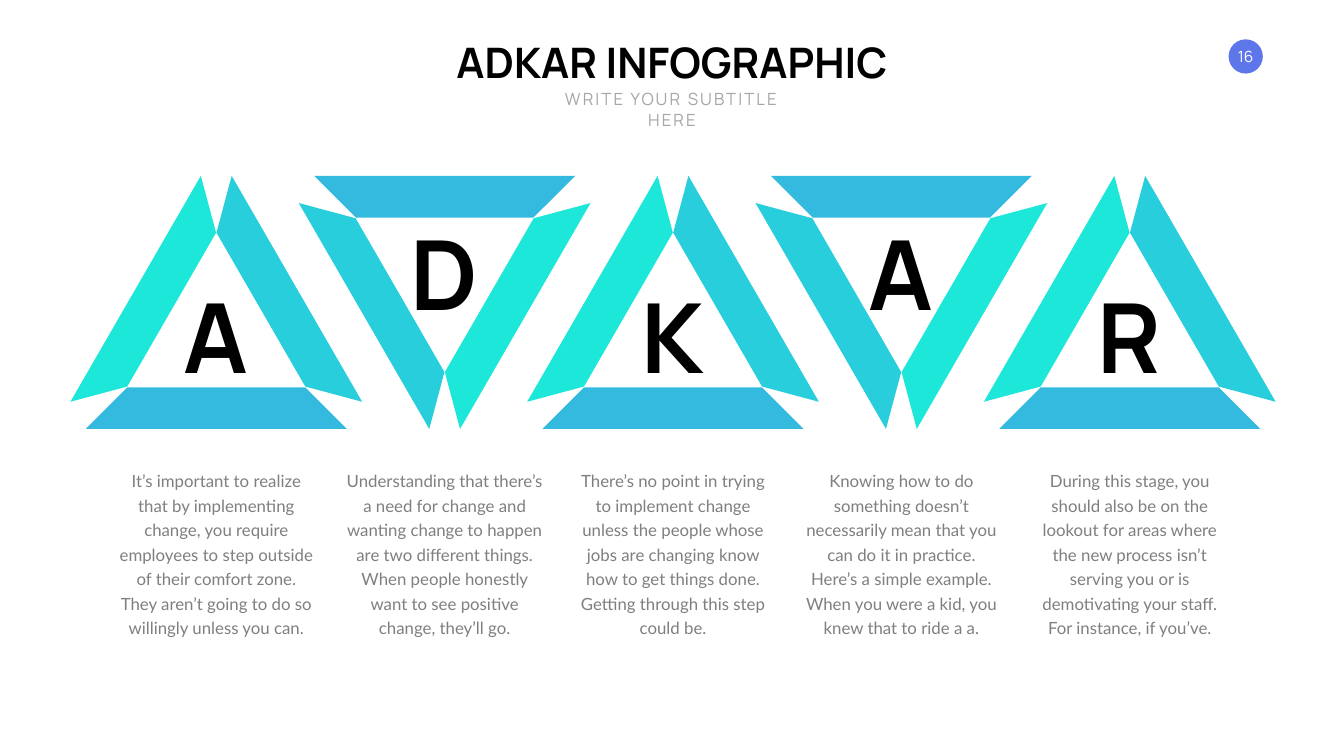
from typing import NamedTuple

from pptx import Presentation
from pptx.dml.color import RGBColor as Rgb
from pptx.enum.shapes import MSO_SHAPE as Shape
from pptx.enum.text import MSO_ANCHOR as Anchor, PP_ALIGN as Align
from pptx.util import Inches, Pt

COLORS = {
    "blue": "34B9DF",
    "cyan": "29CEDC",
    "mint": "1DE7D8",
    "badge": "5D76EA",
    "white": "FFFFFF",
    "black": "000000",
    "light": "A6A6A6",
    "gray": "7F7F7F",
}

FIRST, STEP = 4.29, 4.53  # centre of the first triangle, gap to the next
MIDDLE = 6.0              # height about which the triangles are turned
SIDE = 3.66               # box of one stripe


class Stage(NamedTuple):
    letter: str
    text: str


class Stripe(NamedTuple):
    dx: float
    dy: float
    turn: int
    color: str


class Style(NamedTuple):
    size: float
    color: str
    font: str = "Manrope"
    bold: bool = False
    wrap: bool = True
    anchor: Anchor = Anchor.TOP


STAGES = [
    Stage("A", "It’s important to realize that by implementing change, you require "
          "employees to step outside of their comfort zone. They aren’t going to do "
          "so willingly unless you can."),
    Stage("D", "Understanding that there’s a need for change and wanting change to "
          "happen are two different things. When people honestly want to see "
          "positive change, they’ll go."),
    Stage("K", "There’s no point in trying to implement change unless the people "
          "whose jobs are changing know how to get things done. Getting through "
          "this step could be."),
    Stage("A", "Knowing how to do something doesn’t necessarily mean that you can do "
          "it in practice. Here’s a simple example. When you were a kid, you knew "
          "that to ride a a."),
    Stage("R", "During this stage, you should also be on the lookout for areas where "
          "the new process isn’t serving you or is demotivating your staff. For "
          "instance, if you’ve."),
]

# Offsets from the triangle's centre, with the point up
STRIPES = [
    Stripe(0, 2.51, 45, "blue"),
    Stripe(1.6, -0.27, 285, "cyan"),
    Stripe(-1.6, -0.27, 165, "mint"),
]

TITLE = Style(60, "black", bold=True, wrap=False)
SUBTITLE = Style(24, "light")
NUMBER = Style(22, "white", anchor=Anchor.MIDDLE)
LETTER = Style(138, "black", bold=True, wrap=False, anchor=Anchor.MIDDLE)
BODY = Style(24, "gray", font="Lato")


def color(name: str) -> Rgb:
    return Rgb.from_string(COLORS[name])


def add_solid(shapes, kind: Shape, x: float, y: float, size: float, fill: str):
    """Draw a plain shape in a square box centred on x, y."""
    shape = shapes.add_shape(kind, Inches(x - size / 2), Inches(y - size / 2),
                             Inches(size), Inches(size))
    shape.shadow.inherit = False
    shape.fill.solid()
    shape.fill.fore_color.rgb = color(fill)
    shape.line.fill.background()
    return shape


def add_text(shapes, text: str, x: float, top: float, width: float,
             height: float, style: Style):
    """Write one centred paragraph in a box whose middle is at x."""
    box = shapes.add_textbox(Inches(x - width / 2), Inches(top),
                             Inches(width), Inches(height))
    frame = box.text_frame
    frame.word_wrap = style.wrap
    frame.vertical_anchor = style.anchor
    par = frame.paragraphs[0]
    par.text = text
    par.alignment = Align.CENTER
    par.font.name = style.font
    par.font.size = Pt(style.size)
    par.font.bold = style.bold
    par.font.color.rgb = color(style.color)
    return par


def add_triangle(shapes, x: float, down: bool) -> None:
    group = shapes.add_group_shape()
    sign = -1 if down else 1
    for part in STRIPES:
        shape = add_solid(group.shapes, Shape.DIAGONAL_STRIPE, x + sign * part.dx,
                          MIDDLE + sign * part.dy, SIDE, part.color)
        shape.adjustments[0] = 0.681
        shape.rotation = (part.turn + 180 * down) % 360


def add_stage(shapes, index: int, stage: Stage) -> None:
    x = FIRST + index * STEP
    down = index % 2 == 1
    add_triangle(shapes, x, down)
    add_text(shapes, stage.letter, x, 4.18 if down else 5.44, 1.6, 2.42, LETTER)
    par = add_text(shapes, stage.text, x, 9.21, 4.13, 3.49, BODY)
    par.line_spacing = Pt(35)


def main() -> None:
    deck = Presentation()
    deck.slide_width, deck.slide_height = Inches(26.66), Inches(15)
    shapes = deck.slides.add_slide(deck.slide_layouts[6]).shapes

    add_solid(shapes, Shape.OVAL, 24.71, 1.12, 0.68, "badge")
    add_text(shapes, "16", 24.71, 0.89, 0.65, 0.47, NUMBER)
    add_text(shapes, "ADKAR INFOGRAPHIC", 13.33, 0.67, 9.22, 1.11, TITLE)
    par = add_text(shapes, "WRITE YOUR SUBTITLE HERE", 13.33, 1.72, 5.43, 0.5,
                   SUBTITLE)
    par.runs[0]._r.get_or_add_rPr().set("spc", "300")

    for index, stage in enumerate(STAGES):
        add_stage(shapes, index, stage)
    deck.save("out.pptx")


if __name__ == "__main__":
    main()
